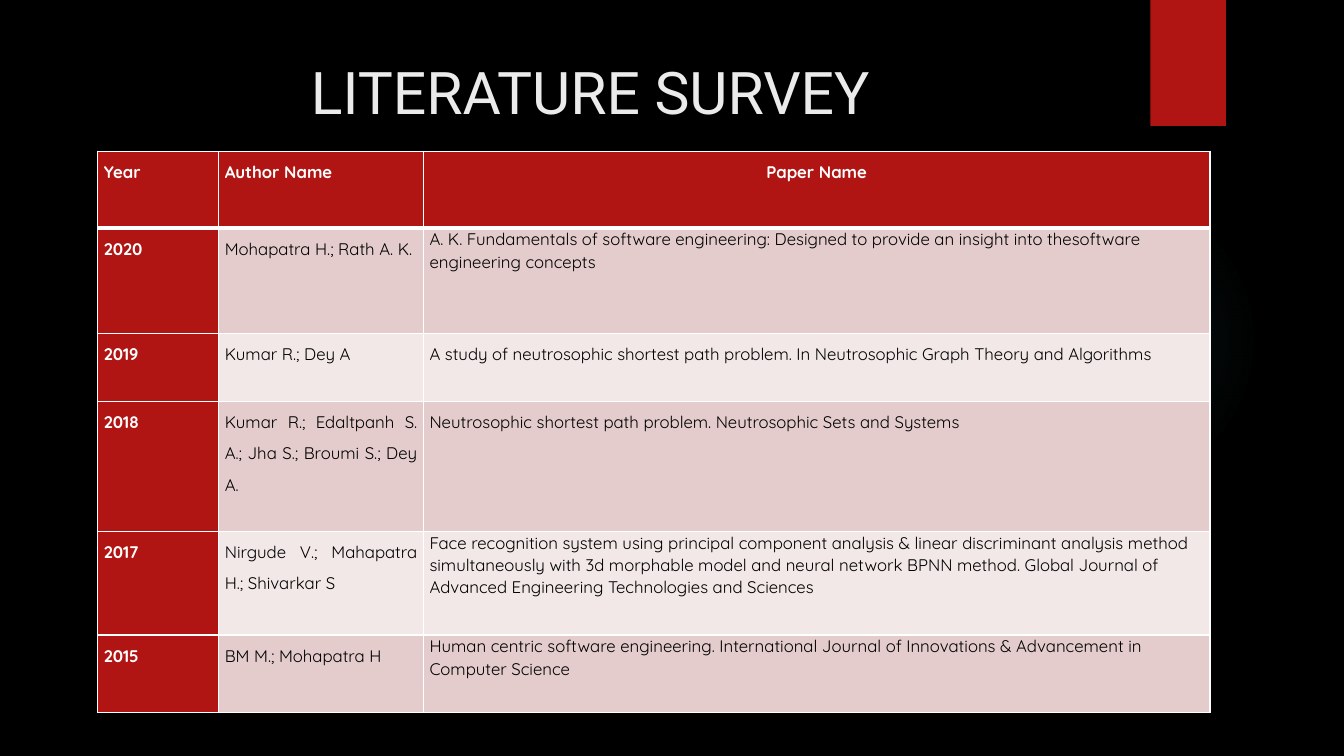
from lxml import etree
from pptx import Presentation
from pptx.dml.color import RGBColor
from pptx.enum.shapes import MSO_SHAPE as Shape
from pptx.enum.text import MSO_ANCHOR as Anchor, PP_ALIGN as Align
from pptx.oxml import parse_xml
from pptx.oxml.ns import nsdecls, qn
from pptx.util import Inches, Pt

TITLE = "LITERATURE SURVEY"
HEADINGS = ("Year", "Author Name", "Paper Name")
PAPERS = [
    ("2020", "Mohapatra H.; Rath A. K.",
     "A. K. Fundamentals of software engineering: Designed to provide an insight into "
     "thesoftware engineering concepts"),
    ("2019", "Kumar R.; Dey A",
     "A study of neutrosophic shortest path problem. In Neutrosophic Graph Theory and Algorithms"),
    ("2018", "Kumar R.; Edaltpanh S. A.; Jha S.; Broumi S.; Dey A.",
     "Neutrosophic shortest path problem. Neutrosophic Sets and Systems"),
    ("2017", "Nirgude V.; Mahapatra H.; Shivarkar S",
     "Face recognition system using principal component analysis & linear discriminant analysis "
     "method simultaneously with 3d morphable model and neural network BPNN method. Global Journal "
     "of Advanced Engineering Technologies and Sciences"),
    ("2015", "BM M.; Mohapatra H",
     "Human centric software engineering. International Journal of Innovations & Advancement in "
     "Computer Science"),
]
COLUMN_WIDTHS = (1.2, 2.03, 7.8)
ROW_HEIGHTS = (0.76, 1.05, 0.67, 1.29, 1.03, 0.77)
GLOW_STOPS = ((0, 7), (36, 6), (69, 0))
ONE_LINE_LIMIT = 100

BLACK = RGBColor(0x00, 0x00, 0x00)
WHITE = RGBColor(0xFF, 0xFF, 0xFF)
OFF_WHITE = RGBColor(0xEB, 0xEB, 0xEB)
RED = RGBColor(0xB0, 0x15, 0x13)
GLOW = RGBColor(0x50, 0xB9, 0xC1)
BANDS = (RGBColor(0xF2, 0xE8, 0xE7), RGBColor(0xE4, 0xCC, 0xCC))


def add_plain_shape(slide, kind, left, top, width, height, color):
    shape = slide.shapes.add_shape(kind, Inches(left), Inches(top), Inches(width), Inches(height))
    shape.shadow.inherit = False
    shape.fill.solid()
    shape.fill.fore_color.rgb = color
    shape.line.fill.background()
    return shape


def add_glow(slide):
    glow = add_plain_shape(slide, Shape.OVAL, 9.41, 1.83, 3.08, 3.08, GLOW)
    stops = "".join(
        f'<a:gs pos="{place * 1000}"><a:srgbClr val="{GLOW}">'
        f'<a:alpha val="{alpha * 1000}"/></a:srgbClr></a:gs>'
        for place, alpha in GLOW_STOPS)
    gradient = parse_xml(
        f'<a:gradFill {nsdecls("a")}><a:gsLst>{stops}</a:gsLst><a:path path="circle">'
        '<a:fillToRect l="50000" t="50000" r="50000" b="50000"/></a:path></a:gradFill>')
    properties = glow.fill._xPr
    properties.replace(properties.find(qn("a:solidFill")), gradient)


def set_borders(cell, row):
    properties = cell._tc.get_or_add_tcPr()
    widths = {"L": 1, "R": 1, "T": 3 if row == 1 else 1, "B": 3 if row == 0 else 1}
    for position, (side, width) in enumerate(widths.items()):
        border = etree.Element(qn(f"a:ln{side}"), w=str(Pt(width)))
        fill = etree.SubElement(border, qn("a:solidFill"))
        etree.SubElement(fill, qn("a:srgbClr"), val=str(WHITE))
        properties.insert(position, border)


def fill_cell(cell, row, column, text):
    accent = row == 0 or column == 0
    wraps = column == 2 and len(text) > ONE_LINE_LIMIT
    cell.text = text
    cell.margin_left = cell.margin_right = Inches(0.06)
    cell.margin_top = cell.margin_bottom = 0
    cell.fill.solid()
    cell.fill.fore_color.rgb = RED if accent else BANDS[row % 2]
    set_borders(cell, row)
    paragraph = cell.text_frame.paragraphs[0]
    if row == 0 and column == 2:
        paragraph.alignment = Align.CENTER
    else:
        paragraph.alignment = Align.LEFT if wraps else Align.JUSTIFY
    paragraph.line_spacing = 1.06 if wraps else 1.5
    paragraph.space_after = Pt(8)
    paragraph.font.name = "Quicksand"
    paragraph.font.size = Pt(12)
    paragraph.font.bold = accent
    paragraph.font.color.rgb = WHITE if accent else BLACK


def add_survey(slide):
    survey = slide.shapes.add_table(
        len(ROW_HEIGHTS), len(COLUMN_WIDTHS), Inches(0.97), Inches(1.5),
        Inches(sum(COLUMN_WIDTHS)), Inches(sum(ROW_HEIGHTS))).table
    for column, width in zip(survey.columns, COLUMN_WIDTHS):
        column.width = Inches(width)
    for row, height in zip(survey.rows, ROW_HEIGHTS):
        row.height = Inches(height)
    for row, texts in enumerate([HEADINGS, *PAPERS]):
        for column, text in enumerate(texts):
            fill_cell(survey.cell(row, column), row, column, text)


def set_title(slide):
    title = slide.shapes.title
    title.left, title.top = Inches(0.71), Inches(0.5)
    title.width, title.height = Inches(10.29), Inches(1.53)
    title.text_frame.text = TITLE
    title.text_frame.vertical_anchor = Anchor.TOP
    paragraph = title.text_frame.paragraphs[0]
    paragraph.alignment = Align.CENTER
    paragraph.font.name = "Roboto"
    paragraph.font.size = Pt(42)
    paragraph.font.color.rgb = OFF_WHITE


def main():
    deck = Presentation()
    deck.slide_width, deck.slide_height = Inches(13.33), Inches(7.5)
    slide = deck.slides.add_slide(deck.slide_layouts[5])
    slide.background.fill.solid()
    slide.background.fill.fore_color.rgb = BLACK
    add_glow(slide)
    add_plain_shape(slide, Shape.RECTANGLE, 11.41, 0, 0.75, 1.25, RED)
    set_title(slide)
    add_survey(slide)
    deck.save("out.pptx")


if __name__ == "__main__":
    main()
